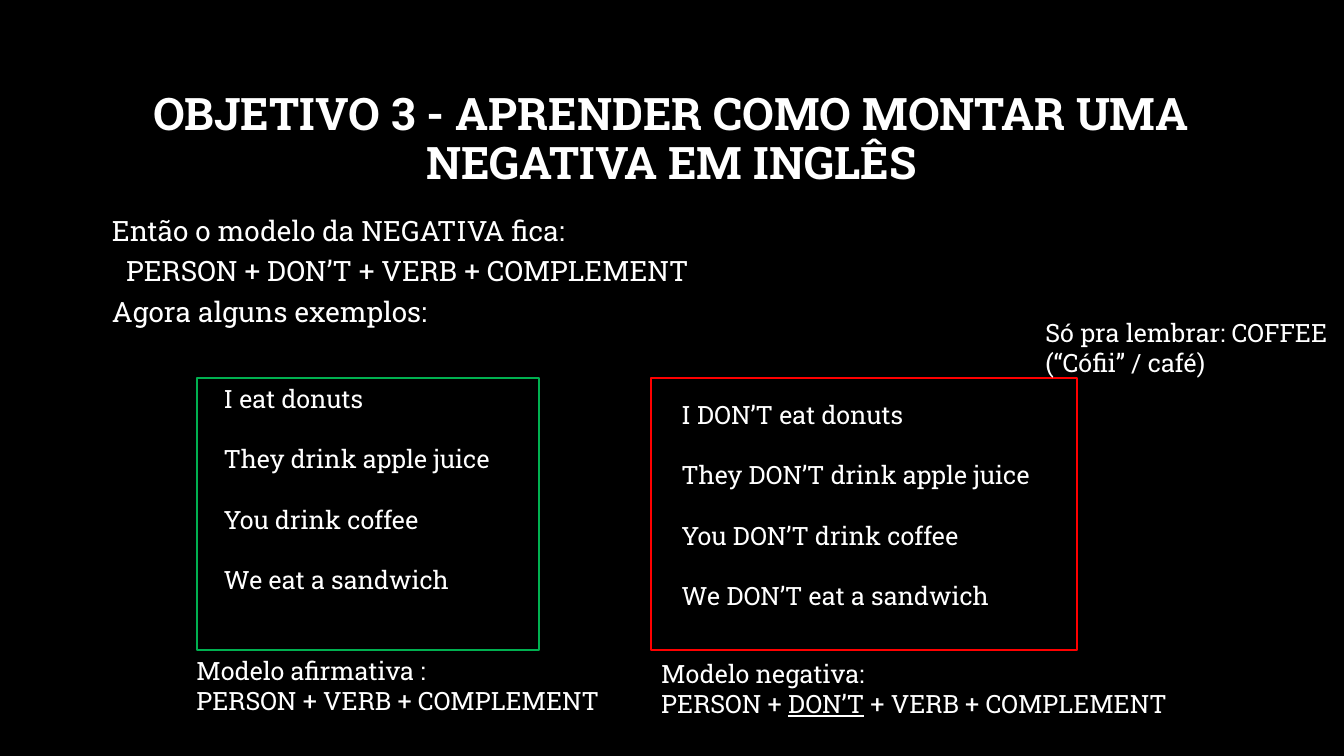
"""Build the slide on how to form a negative sentence in English."""
from pptx import Presentation
from pptx.dml.color import RGBColor
from pptx.enum.shapes import MSO_SHAPE
from pptx.enum.text import MSO_ANCHOR, MSO_AUTO_SIZE, PP_ALIGN
from pptx.util import Inches, Pt
from lxml import etree

BLACK = RGBColor(0x00, 0x00, 0x00)
WHITE = RGBColor(0xFF, 0xFF, 0xFF)
GREEN = RGBColor(0x00, 0xB0, 0x50)
RED = RGBColor(0xFF, 0x00, 0x00)
FONT = "Roboto Slab"
A = "{http://schemas.openxmlformats.org/drawingml/2006/main}"


def place(sp, x, y, w, h):
    sp.left, sp.top, sp.width, sp.height = [Inches(v) for v in (x, y, w, h)]
    sp.text_frame.word_wrap = True
    sp.text_frame.auto_size = MSO_AUTO_SIZE.NONE


def set_font(p, size, bold=False):
    p.font.name = FONT
    p.font.size = Pt(size)
    p.font.bold = bold
    p.font.color.rgb = WHITE


prs = Presentation()
prs.slide_width, prs.slide_height = Inches(13.33), Inches(7.5)
s = prs.slides.add_slide(prs.slide_layouts[1])
s.background.fill.solid()
s.background.fill.fore_color.rgb = BLACK

title = s.shapes.title
place(title, 1, 0.67, 11.32, 1.45)
title.text_frame.vertical_anchor = MSO_ANCHOR.MIDDLE
title.text_frame.text = "OBJETIVO 3 - APRENDER COMO MONTAR UMA NEGATIVA EM INGLÊS"
p = title.text_frame.paragraphs[0]
p.alignment = PP_ALIGN.CENTER
p.line_spacing = 0.9
set_font(p, 32, True)

body = s.placeholders[1]
place(body, 1.01, 2, 11.32, 1.46)
body.text_frame.text = (
    "Então o modelo da NEGATIVA fica:\n"
    "PERSON + DON’T + VERB + COMPLEMENT\n"
    "Agora alguns exemplos:"
)
for p, indent, before in zip(body.text_frame.paragraphs, (0, 0.14, 0), (10, 0, 0)):
    p.line_spacing = 1.2
    p.space_before = Pt(before)
    set_font(p, 20)
    pPr = p._p.get_or_add_pPr()
    pPr.set("marL", str(Inches(indent)))
    pPr.set("indent", "0")
    pPr.insert_element_before(
        etree.Element(A + "buNone"), "a:tabLst", "a:defRPr", "a:extLst")

for x, w, color in ((1.95, 3.4, GREEN), (6.46, 4.22, RED)):
    sp = s.shapes.add_shape(
        MSO_SHAPE.RECTANGLE, Inches(x), Inches(3.75), Inches(w), Inches(2.7))
    sp.shadow.inherit = False
    sp.fill.background()
    sp.line.color.rgb = color
    sp.line.width = Pt(1.5)

affirmative = ["I eat donuts", "They drink apple juice",
               "You drink coffee", "We eat a sandwich"]
negative = ["I DON’T eat donuts", "They DON’T drink apple juice",
            "You DON’T drink coffee", "We DON’T eat a sandwich"]
texts = [
    (2.12, 3.75, 3.06, 2.22, affirmative, 21.6),
    (6.66, 3.91, 4.22, 2.22, negative, 21.6),
    (1.85, 6.45, 5.83, 0.71,
     ["Modelo afirmativa :", "PERSON + VERB + COMPLEMENT"], 0),
    (6.46, 6.48, 6.08, 0.71,
     ["Modelo negativa:", "PERSON + |DON’T| + VERB + COMPLEMENT"], 0),
    (10.27, 3.1, 3.06, 0.71, ["Só pra lembrar: COFFEE (“Cófii” / café)"], 0),
]
for x, y, w, h, lines, gap in texts:
    tb = s.shapes.add_textbox(0, 0, 0, 0)
    place(tb, x, y, w, h)
    tf = tb.text_frame
    for i, line in enumerate(lines):
        p = tf.add_paragraph() if i else tf.paragraphs[0]
        p.space_before = Pt(gap if i else 0)
        set_font(p, 18)
        for j, part in enumerate(line.split("|")):
            r = p.add_run()
            r.text = part
            if j == 1:
                r.font.underline = True

prs.save("out.pptx")
